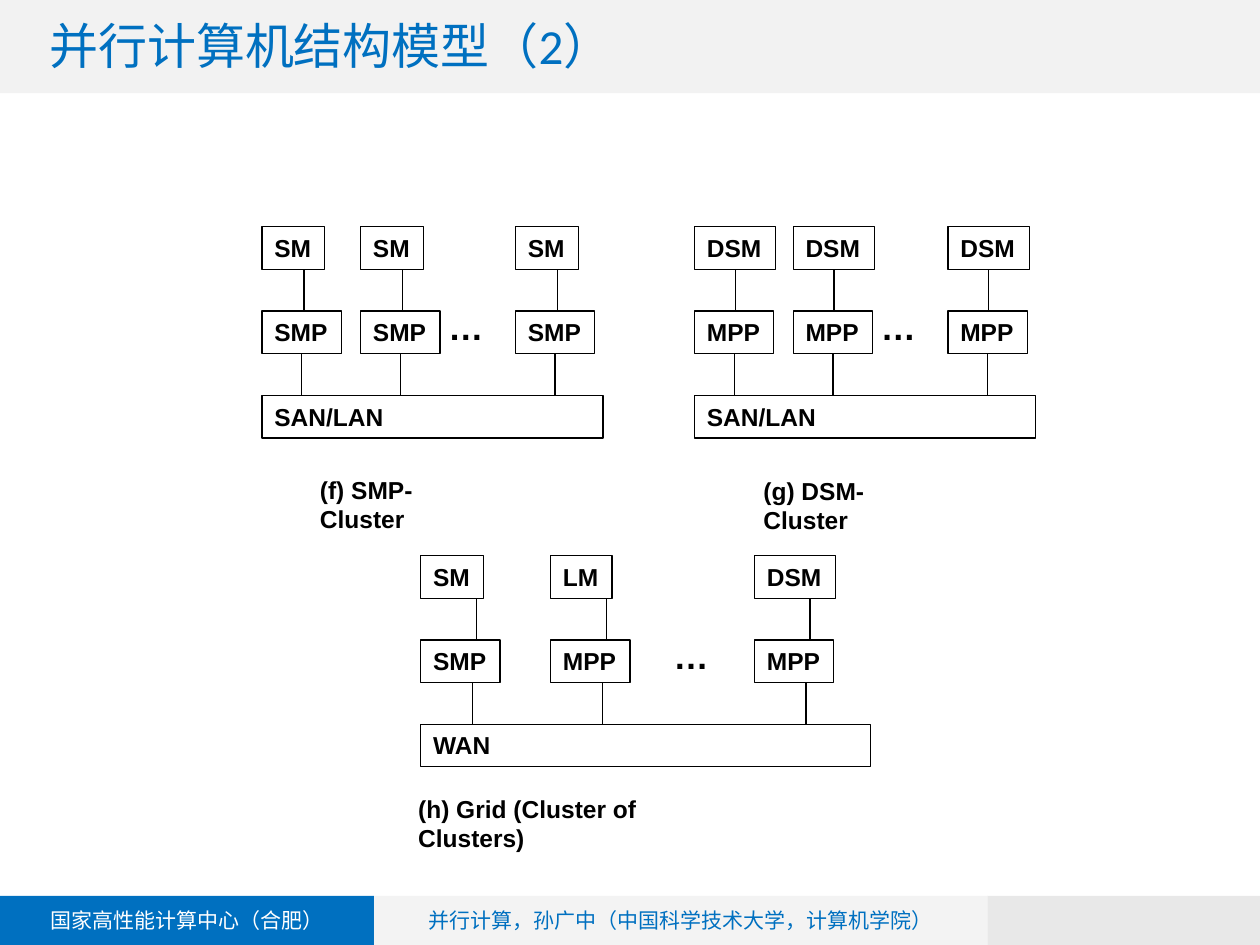
from lxml.etree import SubElement
from pptx import Presentation
from pptx.dml.color import RGBColor
from pptx.enum.shapes import MSO_CONNECTOR, MSO_SHAPE
from pptx.enum.text import MSO_ANCHOR, MSO_AUTO_SIZE, PP_ALIGN
from pptx.oxml.ns import qn
from pptx.util import Cm, Pt

BLACK = RGBColor(0x00, 0x00, 0x00)
WHITE = RGBColor(0xFF, 0xFF, 0xFF)
BLUE = RGBColor(0x00, 0x70, 0xC0)
PALE = RGBColor(0xF2, 0xF2, 0xF2)
SILVER = RGBColor(0xBF, 0xBF, 0xBF)
GRAY = RGBColor(0x80, 0x80, 0x80)
CJK = "Noto Sans CJK SC"

# All lengths are in centimetres.
TITLE = "并行计算机结构模型（2）"
# left, top, width, height, fill, opacity in percent, text, text colour
BANDS = [
    (19.91, 18.06, 5.49, 0.99, GRAY, 18, "", BLUE),
    (0, 0, 25.4, 1.88, PALE, 100, "", BLUE),
    (0, 18.06, 7.54, 0.99, BLUE, 100, "国家高性能计算中心（合肥）", WHITE),
    (7.54, 18.06, 12.37, 0.99, SILVER, 18,
     "并行计算，孙广中（中国科学技术大学，计算机学院）", BLUE),
]
# Column, dots and link positions are offsets from the left of their cluster or box.
CLUSTERS = [
    dict(left=5.28, top=4.57, columns=(0, 1.99, 5.11), fill=None,
         memories=("SM", "SM", "SM"), nodes=("SMP", "SMP", "SMP"),
         upper_link=0.85, lower_link=0.8, dots=3.51, network=("SAN/LAN", 6.88),
         caption=("(f) SMP-Cluster", 6.2, 9.45, 3.94)),
    dict(left=14, top=4.57, columns=(0, 1.99, 5.11), fill=None,
         memories=("DSM", "DSM", "DSM"), nodes=("MPP", "MPP", "MPP"),
         upper_link=0.82, lower_link=0.8, dots=3.51, network=("SAN/LAN", 6.88),
         caption=("(g) DSM-Cluster", 15.14, 9.47, 4.06)),
    dict(left=8.48, top=11.2, columns=(0, 2.62, 6.73), fill=WHITE,
         memories=("SM", "LM", "DSM"), nodes=("SMP", "MPP", "MPP"),
         upper_link=1.12, lower_link=1.04, dots=4.85, network=("WAN", 9.07),
         caption=("(h) Grid (Cluster of Clusters)", 8.18, 15.88, 7)),
]
WIDTHS = {"SM": 1.27, "LM": 1.24, "DSM": 1.64, "SMP": 1.6, "MPP": 1.6}
BOX_HEIGHT = 0.86
ROW_PITCH = 1.7
DOTS_DROP, DOTS_WIDTH, DOTS_HEIGHT = 1.47, 1.22, 1.09


def add_block(page, left, top, width, height, fill=None, outlined=False):
    block = page.shapes.add_shape(
        MSO_SHAPE.RECTANGLE, Cm(left), Cm(top), Cm(width), Cm(height))
    block.shadow.inherit = False
    if fill is None:
        block.fill.background()
    else:
        block.fill.solid()
        block.fill.fore_color.rgb = fill
    if outlined:
        block.line.color.rgb = BLACK
        block.line.width = Pt(0.75)
    else:
        block.line.fill.background()
    return block


def add_label(page, text, left, top, width, height, fill,
              outlined=False, size=14, wrap=False):
    box = add_block(page, left, top, width, height, fill, outlined)
    frame = box.text_frame
    frame.word_wrap = wrap
    frame.vertical_anchor = MSO_ANCHOR.TOP
    frame.text = text
    para = frame.paragraphs[0]
    para.alignment = PP_ALIGN.LEFT
    font = para.font
    font.name, font.size, font.bold = "Arial", Pt(size), True
    font.color.rgb = BLACK
    return box


def add_link(page, box, offset, bottom):
    """Drop a line from the lower edge of box, joined when it starts at the middle."""
    x = box.left + Cm(offset)
    line = page.shapes.add_connector(
        MSO_CONNECTOR.STRAIGHT, x, box.top + box.height, x, Cm(bottom))
    line.line.color.rgb = BLACK
    line.line.width = Pt(0.75)
    SubElement(line.element.spPr, qn("a:effectLst"))
    if abs(box.left + box.width // 2 - x) < Cm(0.01):
        line.begin_connect(box, 2)


def add_band(page, left, top, width, height, fill, opacity, text, color):
    band = add_block(page, left, top, width, height, fill)
    if opacity < 100:
        tone = band.element.spPr.find(qn("a:solidFill"))[0]
        SubElement(tone, qn("a:alpha"), val=str(opacity * 1000))
    if text:
        frame = band.text_frame
        frame.vertical_anchor = MSO_ANCHOR.MIDDLE
        frame.text = text
        para = frame.paragraphs[0]
        para.alignment = PP_ALIGN.CENTER
        para.font.size = Pt(12)
        para.font.color.rgb = color
        para.font.name = CJK
        SubElement(para.font._element, qn("a:ea"), typeface=CJK)


def format_title(page):
    title = page.shapes.title
    title.left, title.top, title.width, title.height = (
        Cm(0.74), Cm(0.28), Cm(21.89), Cm(1.42))
    frame = title.text_frame
    frame.text = TITLE
    frame.auto_size = MSO_AUTO_SIZE.NONE
    frame.vertical_anchor = MSO_ANCHOR.MIDDLE
    para = frame.paragraphs[0]
    para.alignment = PP_ALIGN.LEFT
    para.line_spacing = 0.9
    para.font.name, para.font.size = "Calibri", Pt(28)
    para.font.color.rgb = BLUE
    title.element.getparent().append(title.element)  # in front of the bands


def add_cluster(page, cluster):
    left, top, fill = cluster["left"], cluster["top"], cluster["fill"]
    node_top, network_top = top + ROW_PITCH, top + 2 * ROW_PITCH
    add_label(page, "…", left + cluster["dots"], top + DOTS_DROP,
              DOTS_WIDTH, DOTS_HEIGHT, fill, size=20)
    for column, memory, node in zip(
            cluster["columns"], cluster["memories"], cluster["nodes"]):
        rows = [(memory, top, cluster["upper_link"], node_top),
                (node, node_top, cluster["lower_link"], network_top)]
        for text, row_top, offset, link_end in rows:
            box = add_label(page, text, left + column, row_top,
                            WIDTHS[text], BOX_HEIGHT, fill, outlined=True)
            add_link(page, box, offset, link_end)
    network, width = cluster["network"]
    add_label(page, network, left, network_top, width, BOX_HEIGHT, fill,
              outlined=True, wrap=True)
    add_label(page, *cluster["caption"], BOX_HEIGHT, fill, wrap=True)


def main():
    deck = Presentation()
    deck.slide_width, deck.slide_height = Cm(25.4), Cm(19.05)
    page = deck.slides.add_slide(deck.slide_layouts[5])
    for band in BANDS:
        add_band(page, *band)
    format_title(page)
    for cluster in CLUSTERS:
        add_cluster(page, cluster)
    deck.save("out.pptx")


if __name__ == "__main__":
    main()
